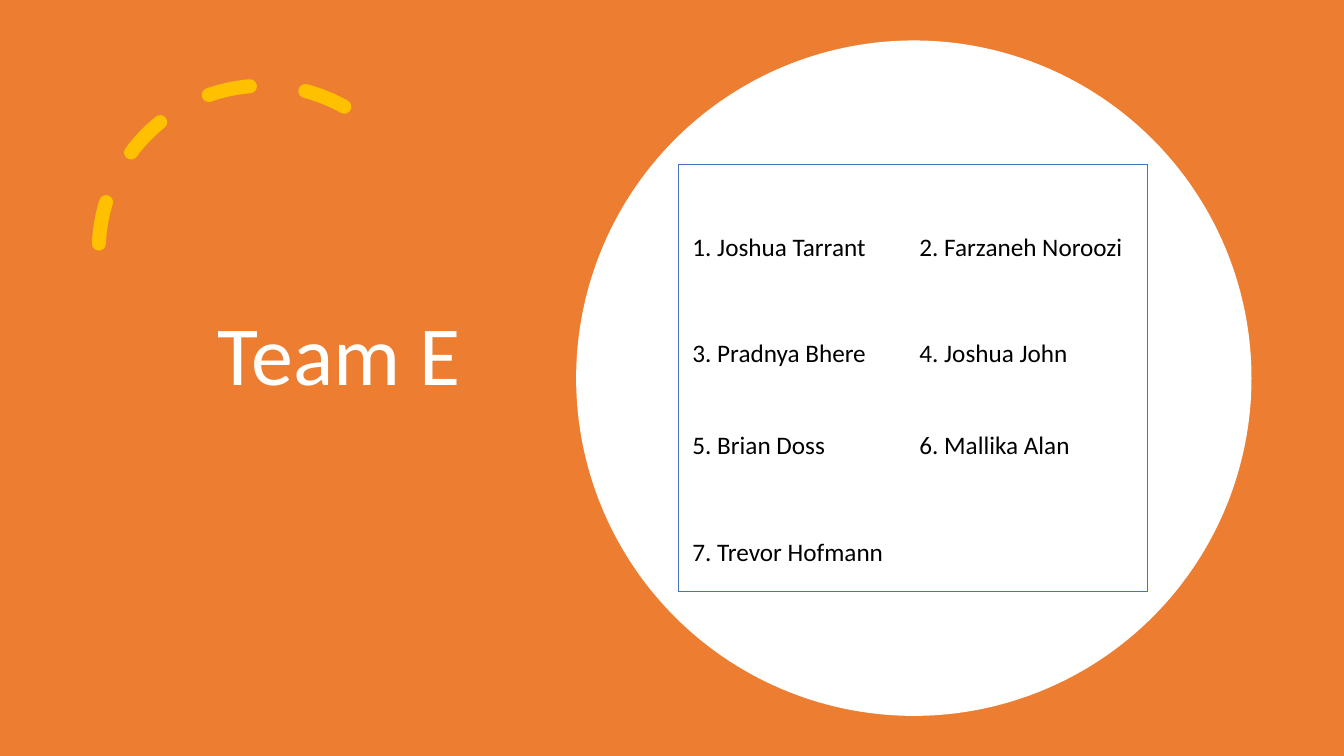
from dataclasses import dataclass

from lxml.etree import SubElement
from pptx import Presentation
from pptx.dml.color import RGBColor
from pptx.enum.dml import MSO_LINE
from pptx.enum.shapes import MSO_SHAPE
from pptx.enum.text import MSO_ANCHOR, MSO_AUTO_SIZE, PP_ALIGN
from pptx.oxml.ns import qn
from pptx.util import Cm, Pt


@dataclass(frozen=True)
class Theme:
    font: str = "Calibri"
    orange: str = "ED7D31"
    gold: str = "FFC000"
    blue: str = "4472C4"
    white: str = "FFFFFF"
    black: str = "000000"
    title_size: int = 60
    name_size: int = 18
    arc_width: int = 10
    border_width: float = 0.5


theme = Theme()


def add_plain_shape(kind, left, top, width, height, color=None):
    """Add a shape without outline or shadow; without a color it has no fill."""
    shape = slide.shapes.add_shape(kind, Cm(left), Cm(top), Cm(width), Cm(height))
    shape.shadow.inherit = False
    shape.line.fill.background()
    if color:
        shape.fill.solid()
        shape.fill.fore_color.rgb = RGBColor.from_string(color)
    else:
        shape.fill.background()
    return shape


def format_text(para, size, color, alignment):
    para.alignment = alignment
    for span in para.runs:
        span.font.name = theme.font
        span.font.size = Pt(size)
        span.font.color.rgb = RGBColor.from_string(color)


deck = Presentation()
deck.slide_width = Cm(33.87)
deck.slide_height = Cm(19.05)
slide = deck.slides.add_slide(deck.slide_layouts[5])

# Backdrop, dashed arc and disc
add_plain_shape(MSO_SHAPE.RECTANGLE, 0, 0, 33.87, 19.05, theme.orange)

arc = add_plain_shape(MSO_SHAPE.ARC, 2.49, 2.16, 8.31, 8.31)
arc.adjustments[0] = 144.42
arc.adjustments[1] = 0
arc.element.spPr.xfrm.set("flipH", "1")
arc.line.color.rgb = RGBColor.from_string(theme.gold)
arc.line.width = Pt(theme.arc_width)
arc.line.dash_style = MSO_LINE.DASH
arc.element.spPr.find(qn("a:ln")).set("cap", "rnd")

add_plain_shape(MSO_SHAPE.OVAL, 14.52, 1.02, 17.02, 17.02, theme.white)

# Title, brought in front of the backdrop
title = slide.shapes.title
slide.shapes.element.append(title.element)
title.left, title.top, title.width, title.height = Cm(2.34), Cm(1.8), Cm(12.42), Cm(8.51)
title.text_frame.text = "Team E"
title.text_frame.word_wrap = True
title.text_frame.auto_size = MSO_AUTO_SIZE.NONE
title.text_frame.vertical_anchor = MSO_ANCHOR.BOTTOM
heading = title.text_frame.paragraphs[0]
heading.line_spacing = 0.9
format_text(heading, theme.title_size, theme.white, PP_ALIGN.CENTER)

# Team members, numbered row by row
members = [
    "Joshua Tarrant", "Farzaneh Noroozi", "Pradnya Bhere", "Joshua John",
    "Brian Doss", "Mallika Alan", "Trevor Hofmann",
]
column_widths = [5.72, 6.1]
row_heights = [3.07, 2.31, 2.31, 3.07]
frame = slide.shapes.add_table(
    len(row_heights), len(column_widths),
    Cm(17.09), Cm(4.14), Cm(sum(column_widths)), Cm(sum(row_heights)),
)
table = frame.table
table.first_row = False
table.horz_banding = False
for column, width in zip(table.columns, column_widths):
    column.width = Cm(width)
for row, height in zip(table.rows, row_heights):
    row.height = Cm(height)

last_row = len(row_heights) - 1
last_column = len(column_widths) - 1
for index, cell in enumerate(table.iter_cells()):
    row_index, column_index = divmod(index, len(column_widths))
    outer_edges = {
        "a:lnL": column_index == 0,
        "a:lnR": column_index == last_column,
        "a:lnT": row_index == 0,
        "a:lnB": row_index == last_row,
    }
    properties = cell._tc.get_or_add_tcPr()
    for edge, is_outer in outer_edges.items():
        border = SubElement(properties, qn(edge), w=str(Pt(theme.border_width)))
        if is_outer:
            fill = SubElement(border, qn("a:solidFill"))
            SubElement(fill, qn("a:srgbClr"), val=theme.blue)
        else:
            SubElement(border, qn("a:noFill"))
    cell.fill.background()
    cell.vertical_anchor = MSO_ANCHOR.MIDDLE
    cell.margin_left = cell.margin_right = Cm(0.36)
    cell.margin_top, cell.margin_bottom = Cm(1.3), Cm(0.18)
    if index < len(members):
        cell.text_frame.text = f"{index + 1}. {members[index]}"
        format_text(cell.text_frame.paragraphs[0], theme.name_size, theme.black, PP_ALIGN.JUSTIFY)

deck.save("out.pptx")
